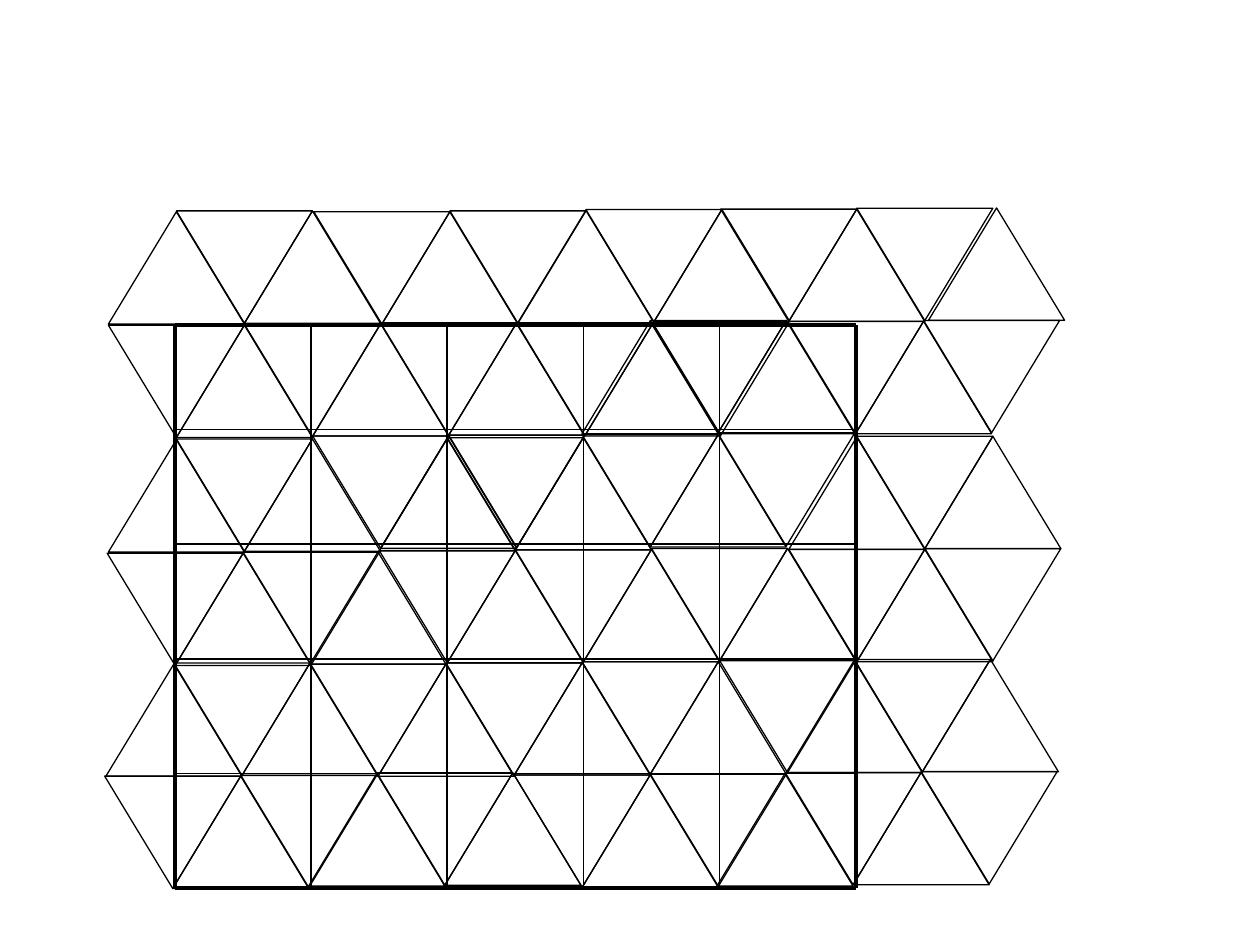
from dataclasses import dataclass

import pptx
import pptx.dml.color
import pptx.enum.shapes
import pptx.oxml
import pptx.oxml.ns
import pptx.util

Pt = pptx.util.Pt


@dataclass(frozen=True)
class Theme:
    ink: pptx.dml.color.RGBColor = pptx.dml.color.RGBColor(0, 0, 0)
    fine: float = 0.75
    thin: float = 1
    bold: float = 2.25


@dataclass(frozen=True)
class Strip:
    """Row of touching triangles that alternate up and down."""
    left: float
    top: float
    up: bool
    count: int = 3


@dataclass(frozen=True)
class Rule:
    x1: float
    y1: float
    x2: float
    y2: float
    width: float


THEME = Theme()
WIDE, HIGH = 77.76, 64.2   # one triangle
DRIFT = 0.5                # rise from each up triangle to the next down one

STRIPS = [
    # Row 1
    Strip(61.9, 121, True), Strip(179.3, 121, False),
    Strip(295.9, 120.2, True), Strip(411.8, 119.5, False),
    Strip(530.6, 118.8, True, 1),
    # Row 2
    Strip(61.9, 185.8, False), Strip(178.6, 185, True),
    Strip(295.2, 185, False), Strip(332.6, 183.6, True),
    Strip(450, 183.6, False),
    # Row 3
    Strip(61.9, 251.3, True), Strip(178.6, 249.1, False),
    Strip(216.7, 250.6, True), Strip(332.6, 248.4, False),
    Strip(450.7, 249.8, True),
    # Row 4
    Strip(61.2, 316.1, False), Strip(177.1, 315.4, True, 1),
    Strip(216.7, 314.6, False), Strip(333.4, 313.9, True),
    Strip(450.7, 313.9, False),
    # Row 5
    Strip(60.5, 379.4, True), Strip(177.1, 379.4, False),
    Strip(293.8, 378.7, True), Strip(411.1, 377.3, False, 1),
    Strip(449.3, 377.3, True),
    # Row 6
    Strip(59.8, 443.5, False), Strip(176.4, 442.1, True),
    Strip(293.8, 442.8, False), Strip(409.7, 442.1, True, 1),
    Strip(448.6, 441.4, False),
]


def ink(line, width: float) -> None:
    line.color.rgb = THEME.ink
    line.width = Pt(width)


def draw_strip(shapes, strip: Strip) -> None:
    up, top = strip.up, strip.top
    for i in range(strip.count):
        shape = shapes.add_shape(
            pptx.enum.shapes.MSO_SHAPE.ISOSCELES_TRIANGLE,
            Pt(strip.left + i * WIDE / 2), Pt(top), Pt(WIDE), Pt(HIGH))
        shape.rotation = 0 if up else 180
        shape.shadow.inherit = False
        shape.fill.background()
        ink(shape.line, THEME.fine)
        if up:
            top -= DRIFT
        up = not up


def draw_rule(shapes, rule: Rule) -> None:
    line = shapes.add_connector(
        pptx.enum.shapes.MSO_CONNECTOR.STRAIGHT,
        Pt(rule.x1), Pt(rule.y1), Pt(rule.x2), Pt(rule.y2))
    ink(line.line, rule.width)
    props = line._element.spPr
    props.append(pptx.oxml.parse_xml(
        "<a:effectLst %s/>" % pptx.oxml.ns.nsdecls("a")))


def grid() -> list[Rule]:
    """Rules of the grid, with a heavy outer frame."""
    xs = [100.1 + i * WIDE for i in range(6)]
    ys = [185.8] + [245.5 + i * 65.52 for i in range(5)]

    def weight(i: int) -> float:
        return THEME.bold if i in (0, 5) else THEME.thin

    across = [Rule(xs[0], y, xs[-1], y, weight(i)) for i, y in enumerate(ys)]
    down = [Rule(x, ys[0], x, ys[-1], weight(i)) for i, x in enumerate(xs)]
    return across + down


def main() -> None:
    deck = pptx.Presentation()
    deck.slide_width, deck.slide_height = Pt(720), Pt(540)
    slide = deck.slides.add_slide(deck.slide_layouts[6])

    # Triangle mesh
    mesh = slide.shapes.add_group_shape()
    for strip in STRIPS:
        draw_strip(mesh.shapes, strip)

    # Square grid on top
    frame = slide.shapes.add_group_shape()
    for rule in grid():
        draw_rule(frame.shapes, rule)

    deck.save("out.pptx")


if __name__ == "__main__":
    main()
